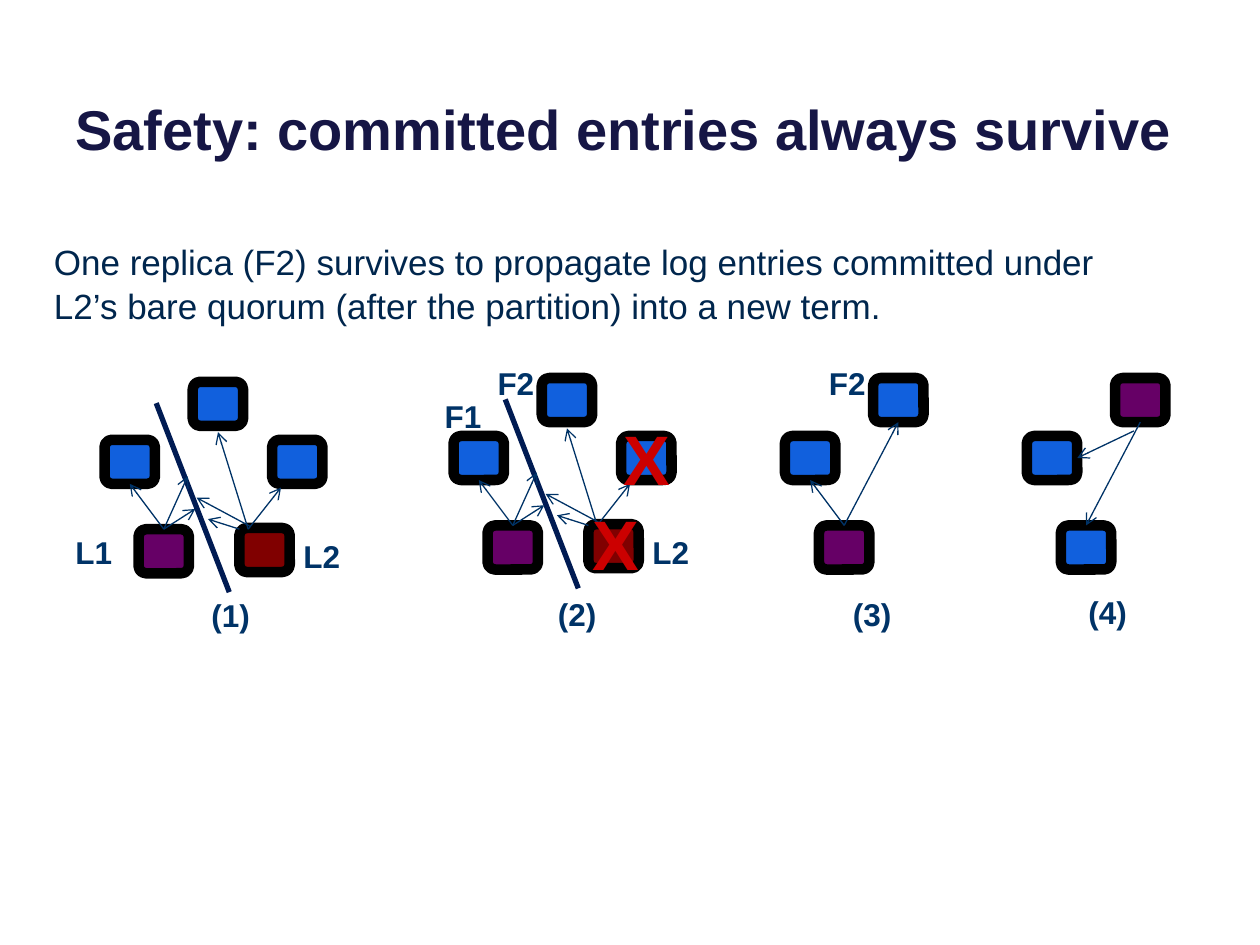
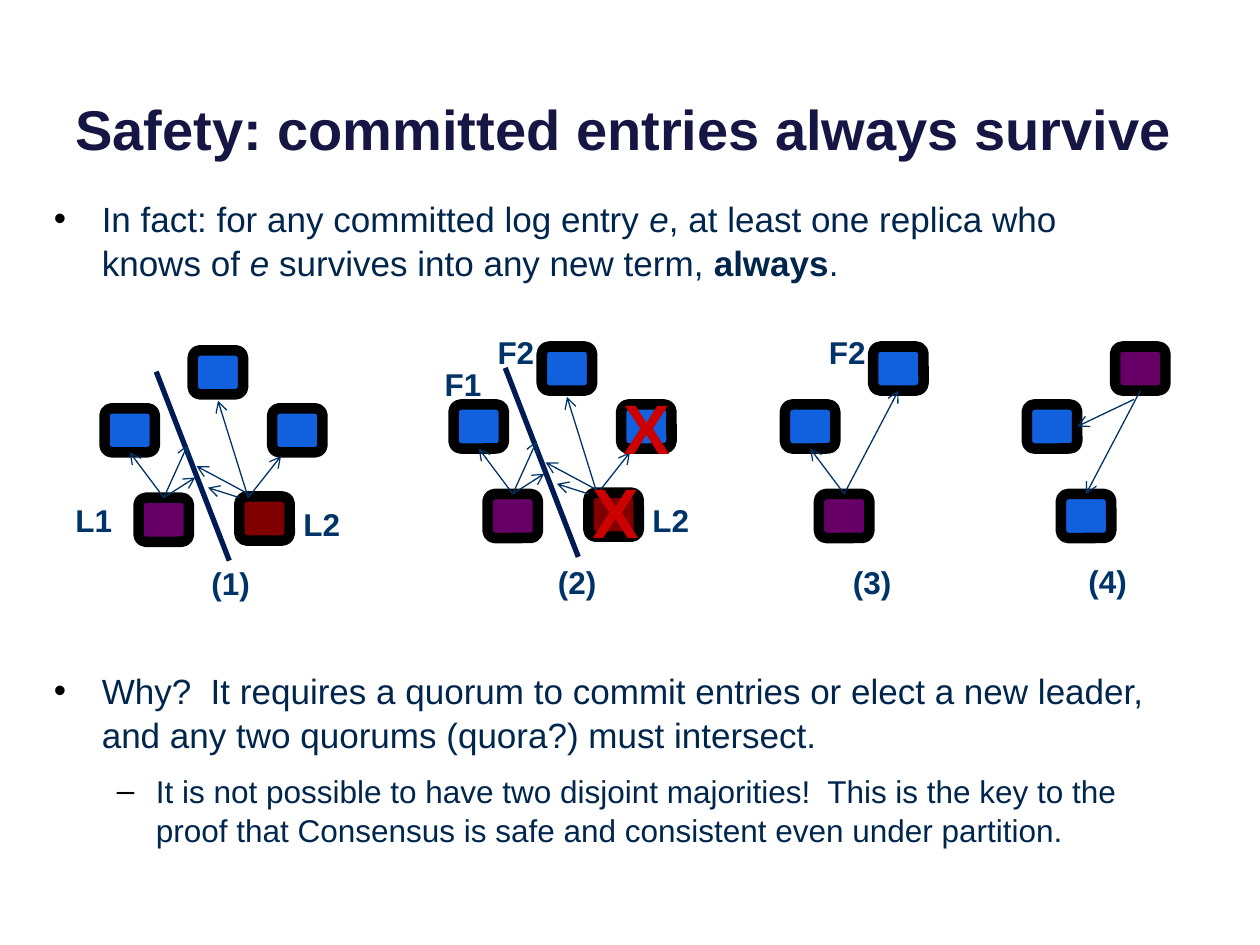
from lxml import etree
from pptx import Presentation
from pptx.dml.color import RGBColor
from pptx.enum import shapes, text
from pptx.oxml.ns import qn
from pptx.util import Inches, Pt

FONT = "Arial"
COLORS = {
    "title": "161645", "body": "00264D", "label": "003367", "cross": "CC0000",
    "partition": "001B53", "outline": "000000", "bullet": "000000",
    "follower": "1160DD", "leader": "660066", "old_leader": "800000",
}
NODE_SIZE = (0.4, 0.35)
# Replica offsets from the corner of a stage
NODES = {
    "left": (0, 0.46), "top": (0.7, 0), "right": (1.33, 0.46),
    "bottom_left": (0.27, 1.17), "bottom_right": (1.07, 1.16),
}
SITES = {0: (0.5, 0), 1: (0, 0.5), 2: (0.5, 1), 3: (1, 0.5)}

# An end of an arrow is a replica with a connection site, or a free point
FROM_LEADER = ("bottom_left", 0)
TO_LEFT = (FROM_LEADER, ("left", 2))
SPLIT_ROLES = {
    "left": "follower", "top": "follower", "right": "follower",
    "bottom_left": "leader", "bottom_right": "old_leader",
}
SPLIT_ARROWS = [
    TO_LEFT,
    (FROM_LEADER, (0.72, 1.01)),
    (FROM_LEADER, (0.66, 0.75)),
    ((1.14, 1.17), (1.4, 0.84)),
    ((1.14, 1.17), (0.9, 0.4)),
    ((1.16, 1.15), (0.73, 0.92)),
    ((1.07, 1.17), (0.82, 1.09)),
]
PARTITION = ((0.41, 0.17), (0.99, 1.67))
L2_LABEL = ("L2", 1.48, 1.18)
F2_LABEL = ("F2", 0.25, -0.16)

STAGES = [
    {"at": (0.83, 0.03), "roles": SPLIT_ROLES, "arrows": SPLIT_ARROWS,
     "split": True,
     "labels": [L2_LABEL, ("L1", -0.33, 1.15), ("(1)", 0.75, 1.65)]},
    {"at": (3.6, 0), "roles": SPLIT_ROLES, "arrows": SPLIT_ARROWS,
     "split": True, "crosses": [(1, 0.92), (1.25, 0.25)],
     "labels": [L2_LABEL, F2_LABEL, ("F1", -0.17, 0.1), ("(2)", 0.73, 1.67)]},
    {"at": (6.23, 0),
     "roles": {"left": "follower", "top": "follower", "bottom_left": "leader"},
     "arrows": [TO_LEFT, (FROM_LEADER, ("top", 2))],
     "labels": [F2_LABEL, ("(3)", 0.44, 1.67)]},
    {"at": (8.15, 0),
     "roles": {"left": "follower", "top": "leader", "bottom_left": "follower"},
     "arrows": [((0.85, 0.42), ("left", 3)), (("top", 2), FROM_LEADER)],
     "labels": [("(4)", 0.39, 1.66)]},
]


def rgb(name):
    return RGBColor.from_string(COLORS[name])


def add_run(paragraph, words, size, color, bold=False, italic=False):
    run = paragraph.add_run()
    run.text = words
    run.font.name = FONT
    run.font.size = Pt(size)
    run.font.bold = bold
    run.font.italic = italic
    run.font.color.rgb = rgb(color)


def add_text_frame(container, box, wrap=True):
    frame = container.add_textbox(*map(Inches, box)).text_frame
    frame.word_wrap = wrap
    return frame


def add_title(slide, words):
    frame = add_text_frame(slide.shapes, (0.5, -0.37, 9, 1.7))
    frame.vertical_anchor = text.MSO_ANCHOR.BOTTOM
    add_run(frame.paragraphs[0], words, 32, "title", bold=True)


def set_bullet(paragraph, character, margin, hanging):
    properties = paragraph._p.get_or_add_pPr()
    properties.set("marL", str(Inches(margin)))
    properties.set("indent", str(-Inches(hanging)))
    color = etree.SubElement(properties, qn("a:buClr"))
    etree.SubElement(color, qn("a:srgbClr"), val=COLORS["bullet"])
    etree.SubElement(properties, qn("a:buFont"), typeface=FONT)
    etree.SubElement(properties, qn("a:buChar"), char=character)


def add_body(slide, top, height, paragraphs):
    """Each paragraph is (level, runs); level None has no bullet."""
    frame = add_text_frame(slide.shapes, (0.33, top, 9, height))
    for index, (level, runs) in enumerate(paragraphs):
        paragraph = frame.add_paragraph() if index else frame.paragraphs[0]
        if level == 0:
            set_bullet(paragraph, "•", 0.38, 0.38)
        elif level == 1:
            paragraph.level = 1
            set_bullet(paragraph, "–", 0.81, 0.31)
        paragraph.line_spacing = 1.05
        if index:
            paragraph.space_before = Pt(8)
        for words, style in runs:
            add_run(paragraph, words, 18 if level == 1 else 20, "body", **style)


def add_node(container, left, top, role):
    node = container.add_shape(shapes.MSO_SHAPE.ROUNDED_RECTANGLE,
                               *map(Inches, (left, top, *NODE_SIZE)))
    node.shadow.inherit = False
    node.fill.solid()
    node.fill.fore_color.rgb = rgb(role)
    node.line.color.rgb = rgb("outline")
    node.line.width = Pt(6)
    return node


def add_line(container, start, end, color, width, arrow=False):
    line = container.add_connector(shapes.MSO_CONNECTOR.STRAIGHT,
                                   *map(Inches, (*start, *end)))
    line.line.color.rgb = rgb(color)
    line.line.width = Pt(width)
    properties = line._element.spPr
    if arrow:
        etree.SubElement(properties.find(qn("a:ln")), qn("a:tailEnd"), type="arrow")
    etree.SubElement(properties, qn("a:effectLst"))
    return line


def add_stage(slide, left, top, stage):
    """One step of the story: replicas, messages, partition and labels."""
    container = slide.shapes.add_group_shape().shapes

    def place(point):
        return left + point[0], top + point[1]

    def locate(end):
        if end[0] not in NODES:
            return place(end)
        name, site = end
        return place([offset + size * share for offset, size, share
                      in zip(NODES[name], NODE_SIZE, SITES[site])])

    nodes = {name: add_node(container, *place(NODES[name]), role)
             for name, role in stage["roles"].items()}
    if stage.get("split"):
        add_line(container, *map(place, PARTITION), "partition", 3)
    for start, end in stage["arrows"]:
        arrow = add_line(container, locate(start), locate(end), "label", 0.75, arrow=True)
        if start[0] in nodes:
            arrow.begin_connect(nodes[start[0]], start[1])
        if end[0] in nodes:
            arrow.end_connect(nodes[end[0]], end[1])
    for cross in stage.get("crosses", []):
        frame = add_text_frame(container, (*place(cross), 0.58, 0.77), wrap=False)
        add_run(frame.paragraphs[0], "X", 40, "cross", bold=True)
    for words, *offset in stage["labels"]:
        frame = add_text_frame(container, (*place(offset), 0.58, 0.4))
        add_run(frame.paragraphs[0], words, 18, "label", bold=True)


def add_safety_slide(presentation, diagram_top, bodies):
    slide = presentation.slides.add_slide(presentation.slide_layouts[6])
    add_title(slide, "Safety: committed entries always survive")
    for body in bodies:
        add_body(slide, *body)
    for stage in STAGES:
        left, drop = stage["at"]
        add_stage(slide, left, diagram_top + drop, stage)


def main():
    presentation = Presentation()
    presentation.slide_width = Inches(10)
    presentation.slide_height = Inches(7.5)

    add_safety_slide(presentation, 3, [(1.84, 0.8, [
        (None, [("One replica (F2) survives to propagate log entries committed "
                 "under L2’s bare quorum (after the partition) into a new term.", {})]),
    ])])

    claim = [
        ("In fact: for any committed log entry ", {}),
        ("e", {"italic": True}),
        (", at least one replica who knows of ", {}),
        ("e", {"italic": True}),
        (" survives into any new term, ", {}),
        ("always", {"bold": True}),
        (".", {}),
    ]
    reason = [("Why?  It requires a quorum to commit entries or elect a new leader, "
               "and any two quorums (quora?) must intersect.", {})]
    proof = [("It is not possible to have two disjoint majorities!  This is the key to "
              "the proof that Consensus is safe and consistent even under partition.", {})]
    add_safety_slide(presentation, 2.75, [
        (1.5, 0.8, [(0, claim)]),
        (5.25, 1.5, [(0, reason), (1, proof)]),
    ])
    presentation.save("out.pptx")


if __name__ == "__main__":
    main()
